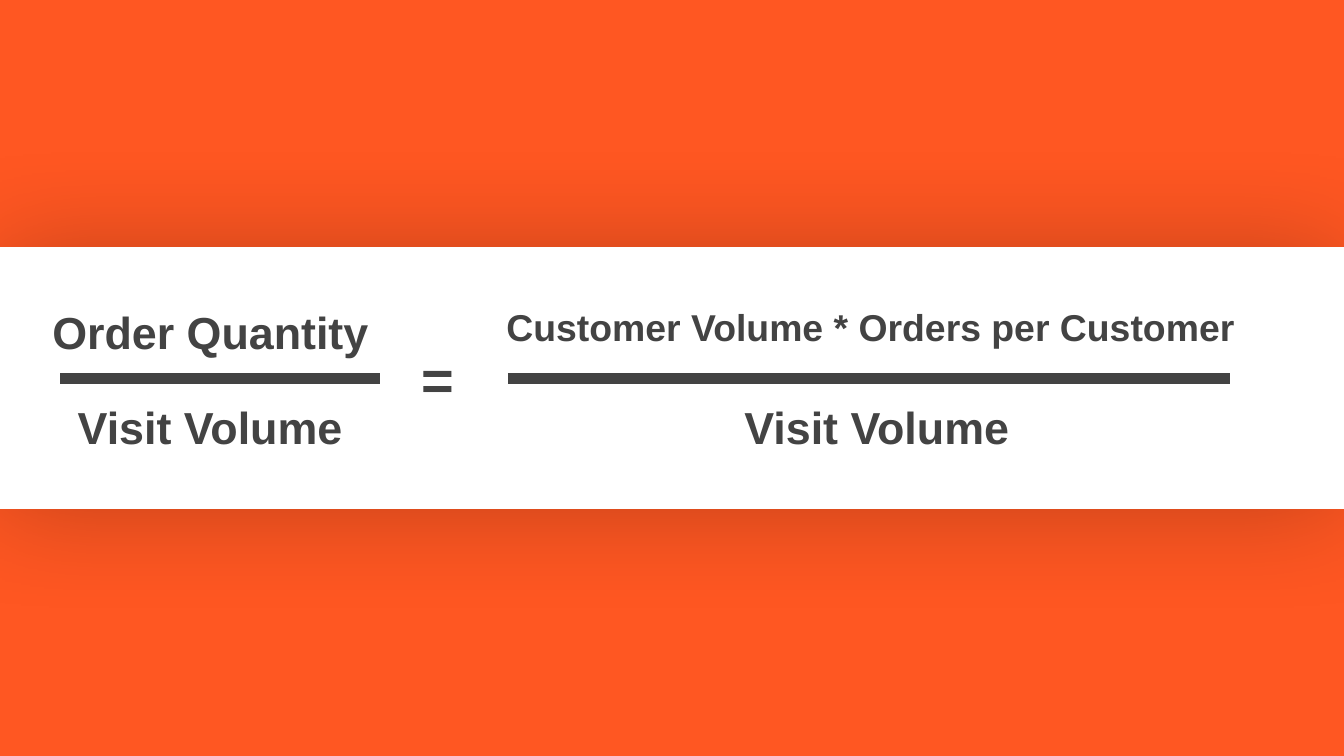
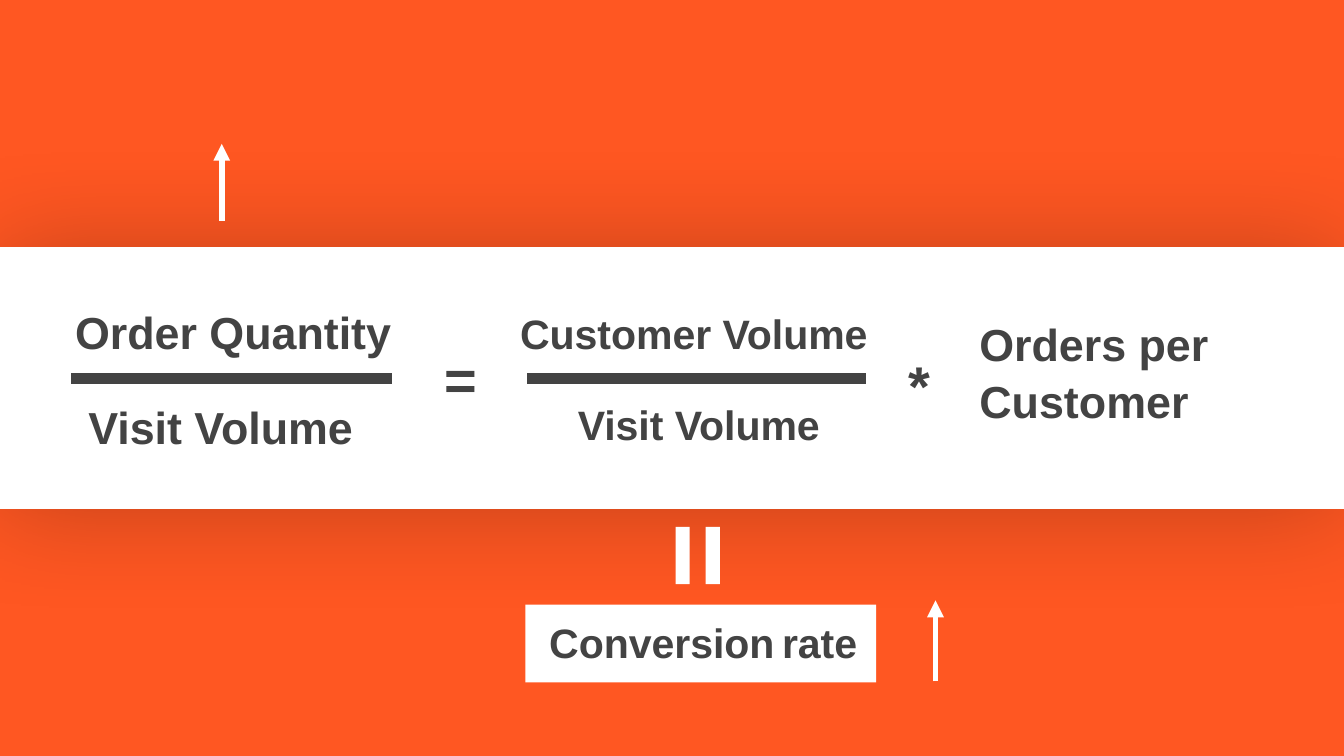
"""Build two slides that split orders per visit into its factors."""
from dataclasses import dataclass

from lxml import etree
from pptx import Presentation
from pptx.dml.color import RGBColor
from pptx.enum.shapes import MSO_CONNECTOR, MSO_SHAPE
from pptx.enum.text import MSO_ANCHOR
from pptx.oxml.ns import qn
from pptx.shapes.autoshape import Shape
from pptx.shapes.connector import Connector
from pptx.shapes.shapetree import GroupShapes, SlideShapes
from pptx.slide import Slide
from pptx.util import Cm, Pt

RECTANGLE = MSO_SHAPE.RECTANGLE
MATH_EQUAL = MSO_SHAPE.MATH_EQUAL
STRAIGHT = MSO_CONNECTOR.STRAIGHT
TOP = MSO_ANCHOR.TOP

ORANGE = RGBColor(0xFF, 0x57, 0x22)
WHITE = RGBColor(0xFF, 0xFF, 0xFF)
CHARCOAL = RGBColor(0x43, 0x43, 0x43)

FONT_FORMAT = {"name": "Arial", "bold": True}
INSET = Cm(0.25)
FRAME_FORMAT = {
    "word_wrap": True,
    "vertical_anchor": TOP,
    "margin_left": INSET,
    "margin_top": INSET,
    "margin_right": INSET,
    "margin_bottom": INSET,
}
LINE_SPACING = 1.05
BAR_TOP = 7.16
SHADOW_FORMAT = {
    "blurRad": str(Pt(59.6)),
    "dist": str(Pt(1.5)),
    "dir": "5400000",
    "algn": "bl",
    "rotWithShape": "0",
}
SHADOW_ALPHA = "23000"


@dataclass(frozen=True)
class Area:
    """A rectangle in centimetres."""

    left: float
    top: float
    width: float
    height: float

    def lengths(self) -> tuple[Cm, Cm, Cm, Cm]:
        """Return the four sides as lengths."""
        return Cm(self.left), Cm(self.top), Cm(self.width), Cm(self.height)


@dataclass(frozen=True)
class Span:
    """A piece of text in one size."""

    text: str
    size: float = 24


@dataclass(frozen=True)
class Label:
    """A line of text and its box."""

    area: Area
    spans: tuple[Span, ...]


@dataclass(frozen=True)
class Line:
    """A straight line in centimetres."""

    start: tuple[float, float]
    end: tuple[float, float]
    color: RGBColor
    width: float


@dataclass(frozen=True)
class Term:
    """One side of a fraction bar."""

    left: float
    width: float
    spans: tuple[Span, ...]


@dataclass(frozen=True)
class Fraction:
    """Two terms and the bar between them."""

    bar_left: float
    bar_right: float
    numerator: Term
    denominator: Term


def order_rate(bar_left: float, top_left: float, bottom_left: float) -> Fraction:
    """Return the fraction of orders to visits."""
    return Fraction(
        bar_left,
        bar_left + 6.05,
        Term(top_left, 6.93, (Span("Order Quantity"),)),
        Term(bottom_left, 6.05, (Span("Visit Volume"),)),
    )


def operator(symbol: str, left: float, top: float) -> Label:
    """Return the label of an arithmetic sign."""
    return Label(Area(left, top, 2.03, 2.31), (Span(symbol, 30),))


def arrow(left: float, bottom: float, top: float) -> Line:
    """Return a white line that points up."""
    return Line((left, bottom), (left, top), WHITE, 3)


VISIT_FRACTIONS = (
    order_rate(1.14, 0.74, 1.22),
    Fraction(
        9.6,
        23.24,
        Term(9.32, 14.91, (Span("Customer Volume * Orders per Customer", 20),)),
        Term(13.82, 5.61, (Span("Visit Volume"),)),
    ),
)
CONVERSION_FRACTIONS = (
    order_rate(1.35, 1.17, 1.42),
    Fraction(
        9.96,
        16.36,
        Term(9.58, 8.28, (Span("Customer Volume", 22), Span(" "))),
        Term(10.67, 5.56, (Span("Visit Volume", 22),)),
    ),
)
VISIT_LABELS = (operator("=", 7.72, 6.2),)
CONVERSION_LABELS = (
    operator("=", 8.15, 6.2),
    Label(Area(18.26, 5.69, 6.63, 1.6), (Span("Orders per Customer"),)),
    operator("*", 16.92, 6.32),
)
CONVERSION_RATE = Label(
    Area(10.13, 11.38, 6.4, 1.07),
    (Span("Conversion", 22), Span(" ", 14), Span("rate", 22)),
)
BAND_AREA = Area(-0.03, 4.67, 25.43, 4.95)
EQUAL_AREA = Area(12.45, 9.93, 1.47, 1.14)
RATE_AREA = Area(9.93, 11.43, 6.63, 1.47)
RISE_ARROWS = (arrow(4.19, 4.17, 2.72), arrow(17.68, 12.88, 11.35))


def apply_format(target: object, values: dict) -> None:
    """Set each named attribute on the target."""
    for name, value in values.items():
        setattr(target, name, value)


def draw_white_shape(slide: Slide, kind: MSO_SHAPE, area: Area) -> Shape:
    """Draw a white shape with no outline or shadow."""
    shape = slide.shapes.add_shape(kind, *area.lengths())
    shape.shadow.inherit = False
    shape.fill.solid()
    shape.fill.fore_color.rgb = WHITE
    shape.line.fill.background()
    return shape


def draw_band(slide: Slide) -> None:
    """Draw the white band with its soft shadow."""
    band = draw_white_shape(slide, RECTANGLE, BAND_AREA)
    effects = band._element.spPr.find(qn("a:effectLst"))
    shadow = etree.SubElement(effects, qn("a:outerShdw"), SHADOW_FORMAT)
    color = etree.SubElement(shadow, qn("a:srgbClr"), {"val": "000000"})
    etree.SubElement(color, qn("a:alpha"), {"val": SHADOW_ALPHA})


def draw_label(shapes: SlideShapes | GroupShapes, label: Label) -> None:
    """Draw a text box with its spans."""
    box = shapes.add_textbox(*label.area.lengths())
    apply_format(box.text_frame, FRAME_FORMAT)
    para = box.text_frame.paragraphs[0]
    para.line_spacing = LINE_SPACING
    for span in label.spans:
        run = para.add_run()
        run.text = span.text
        apply_format(run.font, FONT_FORMAT | {"size": Pt(span.size)})
        run.font.color.rgb = CHARCOAL


def draw_line(shapes: SlideShapes | GroupShapes, line: Line) -> Connector:
    """Draw a straight line without a shadow."""
    ends = (Cm(value) for value in line.start + line.end)
    connector = shapes.add_connector(STRAIGHT, *ends)
    connector.line.color.rgb = line.color
    connector.line.width = Pt(line.width)
    etree.SubElement(connector._element.spPr, qn("a:effectLst"))
    return connector


def draw_arrow(slide: Slide, line: Line) -> None:
    """Draw a line with a triangle at its end."""
    connector = draw_line(slide.shapes, line)
    outline = connector._element.spPr.find(qn("a:ln"))
    etree.SubElement(outline, qn("a:tailEnd"), {"type": "triangle"})


def draw_fraction(slide: Slide, fraction: Fraction) -> None:
    """Draw a fraction as one group."""
    shapes = slide.shapes.add_group_shape().shapes
    start, end = (fraction.bar_left, BAR_TOP), (fraction.bar_right, BAR_TOP)
    draw_line(shapes, Line(start, end, CHARCOAL, 6))
    rows = ((fraction.numerator, 5.46, 1.19), (fraction.denominator, 7.26, 1.37))
    for term, top, height in rows:
        draw_label(shapes, Label(Area(term.left, top, term.width, height), term.spans))


def add_equation(
    deck: Presentation, fractions: tuple[Fraction, ...], labels: tuple[Label, ...]
) -> Slide:
    """Add an orange page with an equation on its band."""
    page = deck.slides.add_slide(deck.slide_layouts[6])
    page.background.fill.solid()
    page.background.fill.fore_color.rgb = ORANGE
    draw_band(page)
    for fraction in fractions:
        draw_fraction(page, fraction)
    for label in labels:
        draw_label(page.shapes, label)
    return page


def add_conversion(page: Slide) -> None:
    """Add the conversion rate and the rising arrows."""
    equal = draw_white_shape(page, MATH_EQUAL, EQUAL_AREA)
    equal.rotation = 90
    equal.adjustments[0] = 0.235
    equal.adjustments[1] = 0.264
    draw_white_shape(page, RECTANGLE, RATE_AREA)
    draw_label(page.shapes, CONVERSION_RATE)
    for rise in RISE_ARROWS:
        draw_arrow(page, rise)


def main() -> None:
    """Build and save the deck."""
    deck = Presentation()
    deck.slide_width, deck.slide_height = Cm(25.4), Cm(14.29)
    add_equation(deck, VISIT_FRACTIONS, VISIT_LABELS)
    add_conversion(add_equation(deck, CONVERSION_FRACTIONS, CONVERSION_LABELS))
    deck.save("out.pptx")


if __name__ == "__main__":
    main()
